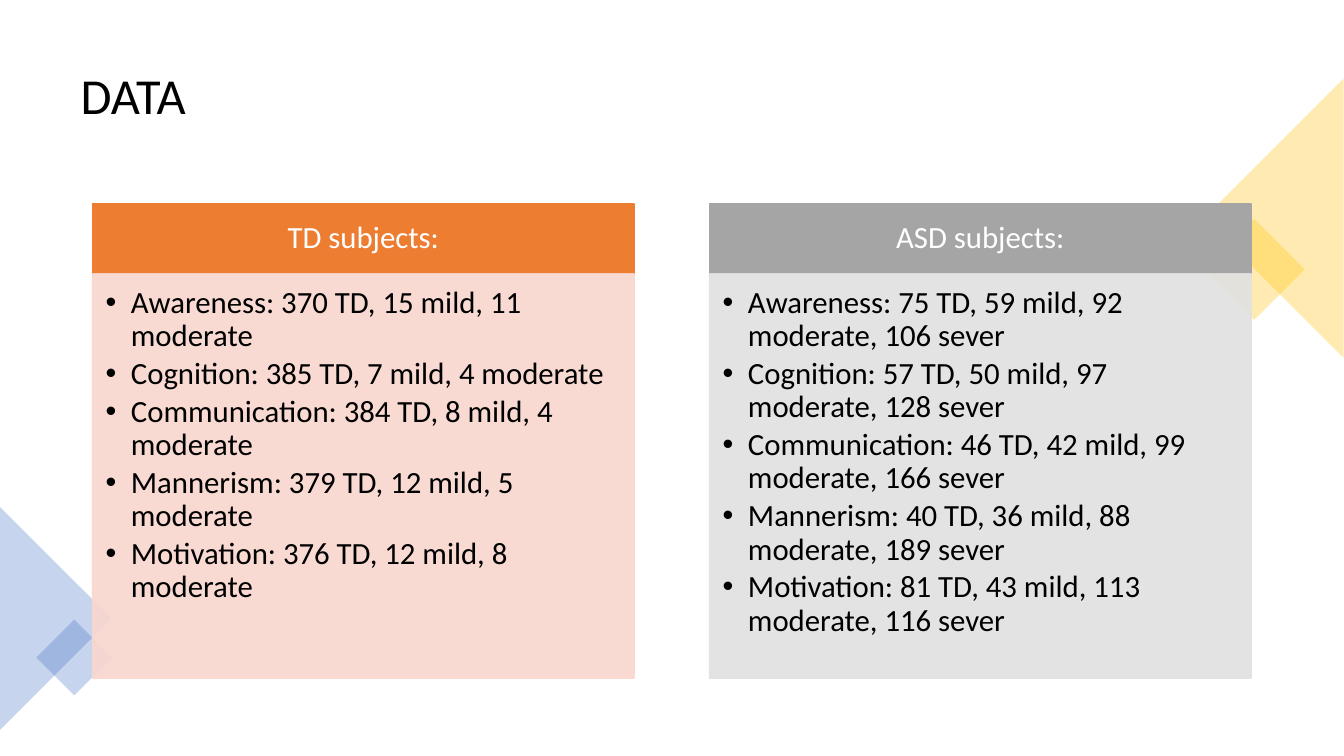
import pptx
import pptx.dml.color
import pptx.enum.shapes
import pptx.enum.text
import pptx.oxml.ns
import pptx.util
from lxml import etree

Cm = pptx.util.Cm
Pt = pptx.util.Pt
Shape = pptx.enum.shapes.MSO_SHAPE
Align = pptx.enum.text.PP_ALIGN
Anchor = pptx.enum.text.MSO_ANCHOR

COLORS = {
    "text": "000000",
    "heading": "FFFFFF",
    "gold": "FFC000",
    "blue": "4472C4",
    "orange": "ED7D31",
    "peach": "F8D7CE",
    "gray": "A5A5A5",
    "silver": "E1E1E1",
}

GROUPS = [
    ("TD subjects:", "orange", "peach", [
        "Awareness: 370 TD, 15 mild, 11 moderate",
        "Cognition: 385 TD, 7 mild, 4 moderate",
        "Communication: 384 TD, 8 mild, 4 moderate",
        "Mannerism: 379 TD, 12 mild, 5 moderate",
        "Motivation: 376 TD, 12 mild, 8 moderate",
    ]),
    ("ASD subjects:", "gray", "silver", [
        "Awareness: 75 TD, 59 mild, 92 moderate, 106 sever",
        "Cognition: 57 TD, 50 mild, 97 moderate, 128 sever",
        "Communication: 46 TD, 42 mild, 99 moderate, 166 sever",
        "Mannerism: 40 TD, 36 mild, 88 moderate, 189 sever",
        "Motivation: 81 TD, 43 mild, 113 moderate, 116 sever",
    ]),
]


def rgb(name):
    return pptx.dml.color.RGBColor.from_string(COLORS[name])


def place(shape, box):
    shape.left, shape.top, shape.width, shape.height = map(Cm, box)


def set_opacity(shape, percent):
    for color in shape.element.spPr.iter(pptx.oxml.ns.qn("a:srgbClr")):
        alpha = etree.SubElement(color, pptx.oxml.ns.qn("a:alpha"))
        alpha.set("val", str(percent * 1000))


def fill_panel(shape, color):
    shape.fill.solid()
    shape.fill.fore_color.rgb = rgb(color)
    shape.line.color.rgb = rgb(color)
    shape.line.width = Pt(1)


def write_lines(shape, lines, size, color, align, anchor, insets):
    frame = shape.text_frame
    frame.text = "\n".join(lines)
    frame.word_wrap = True
    frame.auto_size = pptx.enum.text.MSO_AUTO_SIZE.NONE
    frame.vertical_anchor = anchor
    (frame.margin_left, frame.margin_top,
     frame.margin_right, frame.margin_bottom) = map(Cm, insets)
    for para in frame.paragraphs:
        para.alignment = align
        para.line_spacing = 0.9
        para.space_before = Pt(0)
        para.font.name = "Calibri"
        para.font.size = Pt(size)
        para.font.bold = False
        para.font.color.rgb = rgb(color)


def add_title(shape, box):
    place(shape, box)
    write_lines(shape, ["DATA"], 36, "text", Align.LEFT, Anchor.MIDDLE,
                (0.25, 0.13, 0.25, 0.13))


def add_decoration(page, box, color, rotation, diamond_center, diamond_side):
    left, top, width, height = box
    across, down = diamond_center
    triangle_box = (left + (width - height) / 2, top + (height - width) / 2,
                    height, width)
    diamond_box = (left + across - diamond_side / 2,
                   top + down - diamond_side / 2, diamond_side, diamond_side)
    for kind, part_box, turn in [
        (Shape.ISOSCELES_TRIANGLE, triangle_box, rotation),
        (Shape.RECTANGLE, diamond_box, 45),
    ]:
        part = page.shapes.add_shape(kind, *map(Cm, part_box))
        part.rotation = turn
        part.shadow.inherit = False
        part.fill.solid()
        part.fill.fore_color.rgb = rgb(color)
        part.line.fill.background()
        set_opacity(part, 30)
        page.shapes.element.insert(2, part.element)


def add_group(heading, body, box, group):
    left, top, width, height = box
    name, heading_color, body_color, items = group
    heading_height = 1.76

    place(heading, (left, top, width, heading_height))
    fill_panel(heading, heading_color)
    write_lines(heading, [name], 22, "heading", Align.CENTER, Anchor.MIDDLE,
                (0.43, 0.25, 0.43, 0.25))

    place(body, (left, top + heading_height, width, height - heading_height))
    fill_panel(body, body_color)
    set_opacity(body, 90)
    write_lines(body, items, 22, "text", Align.LEFT, Anchor.TOP,
                (0.33, 0.33, 0.43, 0.48))
    for para in body.text_frame.paragraphs:
        para.space_after = Pt(3.3)
        properties = para._p.get_or_add_pPr()
        properties.set("marL", str(Cm(0.64)))
        properties.set("indent", str(-Cm(0.64)))


def build_data_slide(deck):
    page = deck.slides.add_slide(deck.slide_layouts.get_by_name("Comparison"))
    title, *panels = page.placeholders
    add_title(title, (1.78, 0.89, 30.3, 3.15))
    add_decoration(page, (30.34, 1.98, 3.52, 7.04), "gold", 270, (1.27, 4.81), 1.8)
    add_decoration(page, (0, 12.78, 2.81, 5.61), "blue", 90, (1.87, 3.79), 1.35)
    for column, group in enumerate(GROUPS):
        heading, body = panels[2 * column:2 * column + 2]
        add_group(heading, body, (2.33 + column * 15.55, 5.14, 13.65, 11.95), group)


def main():
    deck = pptx.Presentation()
    deck.slide_width = Cm(33.87)
    deck.slide_height = Cm(19.05)
    build_data_slide(deck)
    deck.save("out.pptx")


if __name__ == "__main__":
    main()
